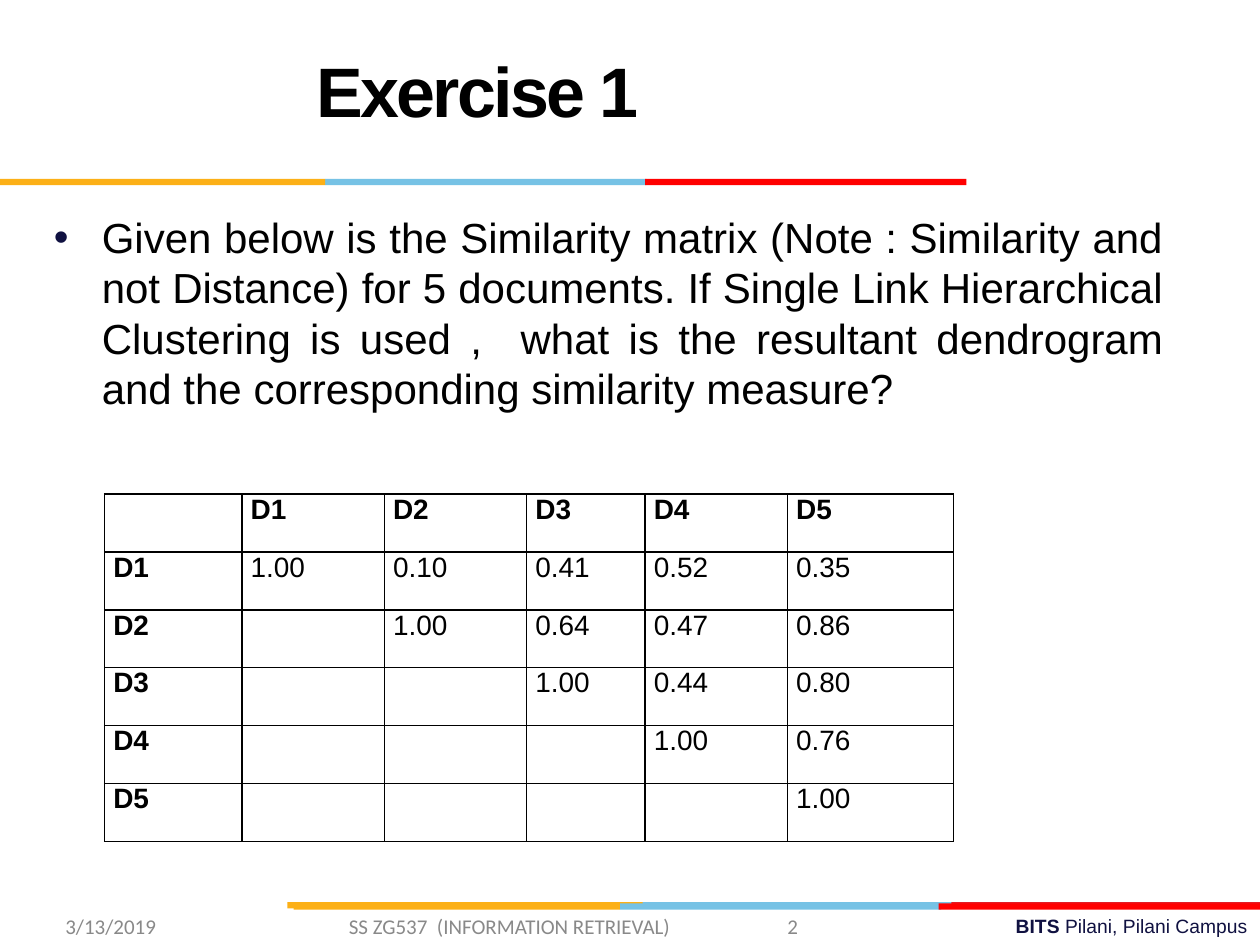
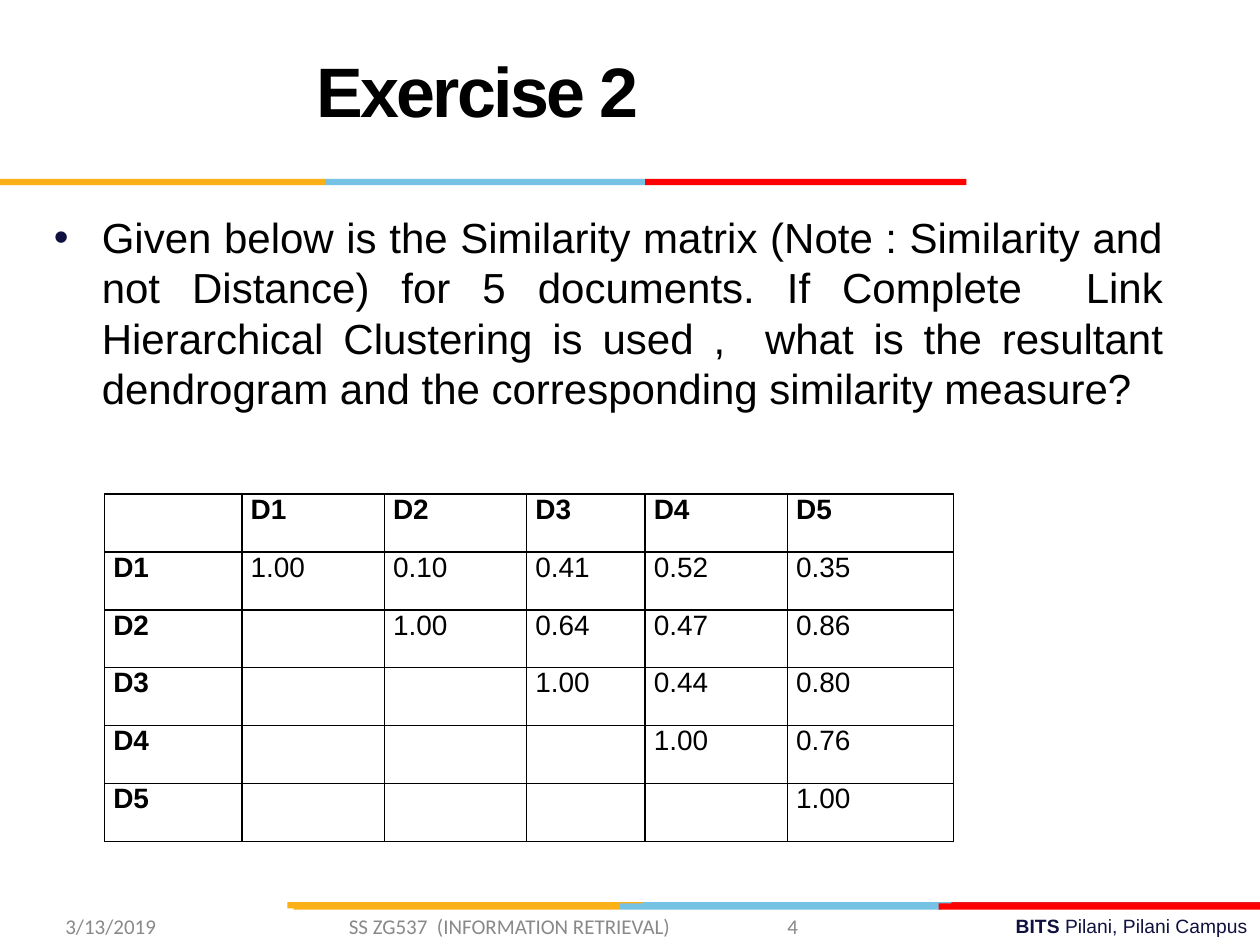
from lxml import etree
from pptx import Presentation
from pptx.dml.color import RGBColor
from pptx.enum import shapes, text
from pptx.oxml import ns
from pptx.util import Inches, Pt

COLOURS = {
    "black": "000000",
    "white": "FFFFFF",
    "navy": "101141",
    "grey": "898989",
    "amber": "FCB017",
    "sky": "76C2E5",
    "red": "FF0000",
    "crimson": "E31C24",
}
FONTS = {
    "title": {"name": "Arial", "size": Pt(40), "bold": True},
    "body": {"name": "Arial", "size": Pt(24)},
    "cell": {"name": "Arial", "size": Pt(16)},
    "campus": {"name": "Arial", "size": Pt(11)},
    "footer": {"name": "Calibri", "size": Pt(12)},
}
BAND_HEIGHT = 0.05
BANDS = [
    (7.16, [(5.06, 2.55, "sky"), (7.55, 2.45, "crimson"), (2.28, 2.82, "amber")]),
    (7.17, [(4.92, 2.55, "sky"), (2.33, 2.59, "amber"), (7.45, 2.55, "red")]),
    (1.42, [(2.58, 2.55, "sky"), (0, 2.58, "amber"), (5.12, 2.55, "red")]),
]
COURSE = "SS ZG537  (INFORMATION RETRIEVAL)"
DATE = "3/13/2019"
FOOTER_TABS = (2.25, 5.73)
QUESTION = (
    "Given below is the Similarity matrix (Note : Similarity and not Distance) "
    "for 5 documents. If {} Link Hierarchical Clustering is used ,  what is the "
    "resultant dendrogram and the corresponding similarity measure?"
)
EXERCISES = [("Exercise 1", "Single", 2), ("Exercise 2", "Complete ", 4)]
DOCUMENTS = ["D1", "D2", "D3", "D4", "D5"]
SIMILARITIES = [
    ["1.00", "0.10", "0.41", "0.52", "0.35"],
    ["1.00", "0.64", "0.47", "0.86"],
    ["1.00", "0.44", "0.80"],
    ["1.00", "0.76"],
    ["1.00"],
]
COLUMN_WIDTHS = [1.09, 1.13, 1.13, 0.94, 1.13, 1.32]
ROW_HEIGHT = 0.46


def colour(name):
    return RGBColor.from_string(COLOURS[name])


def apply(target, values):
    for name, value in values.items():
        setattr(target, name, value)


def add_xml(parent, tag, **attributes):
    return etree.SubElement(parent, ns.qn(tag), attributes)


def add_box(page, left, top, width, height, **frame_format):
    box = page.shapes.add_textbox(*map(Inches, (left, top, width, height)))
    apply(box.text_frame, {"word_wrap": True, **frame_format})
    return box.text_frame.paragraphs[0]


def add_span(para, words, style, shade="black", **extra):
    span = para.add_run()
    span.text = words
    apply(span.font, {**FONTS[style], **extra})
    span.font.color.rgb = colour(shade)
    return span


def add_bands(page):
    for top, bands in BANDS:
        for left, width, shade in bands:
            band = page.shapes.add_shape(
                shapes.MSO_SHAPE.RECTANGLE,
                *map(Inches, (left, top, width, BAND_HEIGHT)),
            )
            band.shadow.inherit = False
            band.fill.solid()
            band.fill.fore_color.rgb = colour(shade)
            band.line.fill.background()


def add_campus(page):
    para = add_box(page, 3.58, 7.21, 6.42, 0.29,
                   auto_size=text.MSO_AUTO_SIZE.SHAPE_TO_FIT_TEXT)
    para.alignment = text.PP_ALIGN.RIGHT
    add_span(para, "BITS ", "campus", "navy", bold=True)
    add_span(para, "Pilani, Pilani Campus", "campus", "navy")


def add_title(page, title):
    para = add_box(page, 0.33, 0.17, 6.92, 1.25,
                   vertical_anchor=text.MSO_ANCHOR.MIDDLE)
    apply(para, {"alignment": text.PP_ALIGN.CENTER, "line_spacing": Pt(36)})
    span = add_span(para, title, "title")
    span.font._element.set("spc", "-150")


def add_question(page, linkage):
    para = add_box(page, 0.33, 1.63, 9, 4.95)
    para.alignment = text.PP_ALIGN.JUSTIFY
    settings = para._p.get_or_add_pPr()
    settings.set("marL", str(Inches(0.38)))
    settings.set("indent", str(Inches(-0.38)))
    bullet_colour = add_xml(settings, "a:buClr")
    add_xml(bullet_colour, "a:srgbClr", val=COLOURS["navy"])
    add_xml(settings, "a:buFont", typeface="Arial")
    add_xml(settings, "a:buChar", char="•")
    add_span(para, QUESTION.format(linkage), "body")


def add_footer(page, number):
    para = add_box(page, 0.42, 7.15, 6.58, 0.4,
                   vertical_anchor=text.MSO_ANCHOR.MIDDLE)
    tabs = add_xml(para._p.get_or_add_pPr(), "a:tabLst")
    for position in FOOTER_TABS:
        add_xml(tabs, "a:tab", pos=str(Inches(position)), algn="l")
    add_span(para, f"{DATE}\t{COURSE}\t{number}", "footer", "grey")


def format_cell(cell, words, bold):
    apply(cell, {
        "margin_left": Inches(0.07), "margin_right": Inches(0.07),
        "margin_top": 0, "margin_bottom": 0,
    })
    settings = cell._tc.get_or_add_tcPr()
    for side in ("L", "R", "T", "B"):
        border = add_xml(settings, f"a:ln{side}", w=str(Pt(1)))
        fill = add_xml(border, "a:solidFill")
        add_xml(fill, "a:srgbClr", val=COLOURS["black"])
    cell.fill.solid()
    cell.fill.fore_color.rgb = colour("white")
    if words:
        add_span(cell.text_frame.paragraphs[0], words, "cell", bold=bold)


def add_matrix(page):
    rows = [["", *DOCUMENTS]]
    for index, values in enumerate(SIMILARITIES):
        rows.append([DOCUMENTS[index], *[""] * index, *values])
    size = len(rows)
    table = page.shapes.add_table(
        size, size, Inches(0.83), Inches(3.92),
        Inches(sum(COLUMN_WIDTHS)), Inches(ROW_HEIGHT * size),
    ).table
    apply(table, {"first_row": False, "horz_banding": False})
    for column, width in zip(table.columns, COLUMN_WIDTHS):
        column.width = Inches(width)
    for row_index, row in enumerate(rows):
        table.rows[row_index].height = Inches(ROW_HEIGHT)
        for column_index, words in enumerate(row):
            is_heading = row_index == 0 or column_index == 0
            format_cell(table.cell(row_index, column_index), words, is_heading)


def main():
    deck = Presentation()
    apply(deck, {"slide_width": Inches(10), "slide_height": Inches(7.5)})
    for title, linkage, number in EXERCISES:
        page = deck.slides.add_slide(deck.slide_layouts[6])
        add_campus(page)
        add_bands(page)
        add_question(page, linkage)
        add_matrix(page)
        add_title(page, title)
        add_footer(page, number)
    deck.save("out.pptx")


if __name__ == "__main__":
    main()
